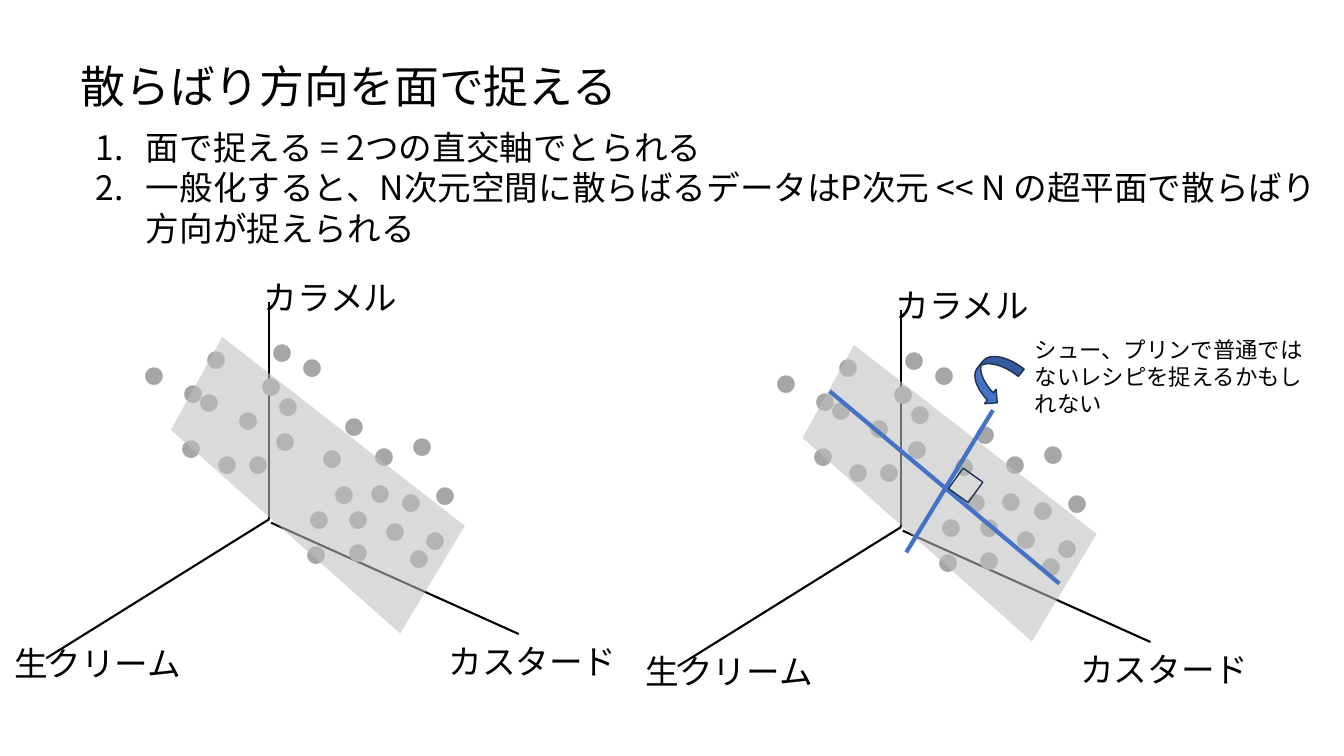
"""Build the slide on capturing the spread of data with a plane."""
from dataclasses import dataclass

from lxml.etree import SubElement
from pptx import Presentation
from pptx.dml.color import RGBColor
from pptx.enum.shapes import MSO_CONNECTOR, MSO_SHAPE
from pptx.enum.text import MSO_AUTO_SIZE
from pptx.oxml.ns import qn
from pptx.util import Pt


@dataclass(frozen=True)
class Theme:
    font: str = "Noto Sans CJK JP"
    ink: str = "000000"
    dot: str = "A6A6A6"
    plane: str = "BFBFBF"
    accent: str = "4472C4"
    outline: str = "1E3256"
    title_size: int = 32
    body_size: int = 24
    note_size: int = 16
    dot_size: int = 14


class SlideBuilder:
    """Draw styled elements on one slide, with lengths in points."""

    def __init__(self, slide, theme):
        self.slide = slide
        self.theme = theme

    def text(self, lines, box, size, color=None, wrap=True, inset=True, rotation=0, numbered=False):
        """Add a text box with one paragraph per line."""
        label = self.slide.shapes.add_textbox(*map(Pt, box))
        label.rotation = rotation
        frame = label.text_frame
        frame.word_wrap = wrap
        frame.auto_size = MSO_AUTO_SIZE.SHAPE_TO_FIT_TEXT
        if not inset:
            frame.margin_left = frame.margin_right = 0
            frame.margin_top = frame.margin_bottom = 0
        frame.text = "\n".join(lines)
        for paragraph in frame.paragraphs:
            font = paragraph.font
            font.size = Pt(size)
            font.color.rgb = RGBColor.from_string(color or self.theme.ink)
            font.name = self.theme.font
            properties = paragraph._p.get_or_add_pPr()
            defaults = properties.find(qn("a:defRPr"))
            SubElement(defaults, qn("a:ea"), typeface=self.theme.font)
            if numbered:
                properties.set("marL", str(Pt(36)))
                properties.set("indent", str(Pt(-36)))
                number = SubElement(properties, qn("a:buAutoNum"), type="arabicPeriod")
                defaults.addprevious(number)

    def line(self, start, end, color, width):
        """Add a straight line."""
        connector = self.slide.shapes.add_connector(
            MSO_CONNECTOR.STRAIGHT, *map(Pt, (*start, *end)))
        connector.line.color.rgb = RGBColor.from_string(color)
        connector.line.width = Pt(width)
        SubElement(connector._element.spPr, qn("a:effectLst"))

    def shape(self, kind, box, rotation, fill=None):
        """Add an outlined preset shape."""
        figure = self.slide.shapes.add_shape(kind, *map(Pt, box))
        figure.rotation = rotation
        figure.shadow.inherit = False
        if fill:
            figure.fill.solid()
            figure.fill.fore_color.rgb = RGBColor.from_string(fill)
        else:
            figure.fill.background()
        figure.line.color.rgb = RGBColor.from_string(self.theme.outline)
        figure.line.width = Pt(1)

    def plane(self, corners, opacity):
        """Add a translucent plane through its corners."""
        first, *others = [tuple(map(Pt, corner)) for corner in corners]
        outline = self.slide.shapes.build_freeform(*first)
        outline.add_line_segments(others, close=True)
        surface = outline.convert_to_shape()
        surface.shadow.inherit = False
        surface.fill.solid()
        surface.fill.fore_color.rgb = RGBColor.from_string(self.theme.plane)
        surface.line.fill.background()
        color = surface._element.spPr.find(qn("a:solidFill"))[0]
        SubElement(color, qn("a:alpha"), val=str(opacity * 1000))

    def scatter(self, dx, dy):
        """Add the axes, data points and plane, shifted by dx and dy."""
        theme = self.theme
        for start, end in AXES:
            self.line((start[0] + dx, start[1] + dy), (end[0] + dx, end[1] + dy), theme.ink, 1.5)
        for name, left, top, width in AXIS_NAMES:
            self.text([name], (left + dx, top + dy, width, 29), theme.body_size,
                      wrap=False, inset=False)
        for left, top, width in DATA_POINTS:
            self.text(["●"], (left + dx, top + dy, width, 24.2), theme.dot_size,
                      color=theme.dot, rotation=136.6)
        self.plane([(x + dx, y + dy) for x, y in PLANE_CORNERS], 57)


AXES = [
    ((192.4, 216), (192.4, 370.8)),
    ((192.4, 370.8), (33, 470.2)),
    ((193.7, 373.4), (370.6, 452.9)),
]
AXIS_NAMES = [
    ("生クリーム", 10, 459.4, 121),
    ("カスタード", 320.4, 457.9, 121),
    ("カラメル", 188.6, 198, 97),
]
DATA_POINTS = [
    (213.8, 360, 28.8), (266.4, 316.1, 52.6), (135.4, 276.5, 28.8), (247.7, 344.9, 39.6),
    (241.2, 383.8, 28.8), (191.5, 279.4, 28.8), (241.2, 360, 28.8), (259.9, 315.4, 28.8),
    (162.7, 289.4, 28.8), (267.8, 368.6, 28.8), (279.4, 347.8, 28.8), (122.4, 309.6, 28.8),
    (223.2, 316.8, 28.8), (187.2, 240.5, 28.8), (208.8, 251.3, 28.8), (169.9, 321.1, 28.8),
    (179.3, 265, 28.8), (147.6, 321.1, 28.8), (211.7, 385.2, 28.8), (238.3, 293.8, 28.8),
    (189.4, 304.6, 28.8), (231.8, 342, 28.8), (95.8, 257, 28.8), (123.8, 270, 28.8),
    (140.4, 245.5, 28.8), (279.4, 390.2, 35.3), (298.1, 344.9, 35.3), (290.9, 377.3, 35.3),
]
PLANE_CORNERS = [(158.8, 240.7), (332.1, 375.7), (285.9, 452.5), (122.1, 307.1)]


def main():
    """Compose and save the slide."""
    presentation = Presentation()
    presentation.slide_width, presentation.slide_height = Pt(960), Pt(540)
    theme = Theme()
    slide = presentation.slides.add_slide(presentation.slide_layouts[6])
    builder = SlideBuilder(slide, theme)

    builder.text(["散らばり方向を面で捉える"], (50.4, 38.2, 402.5, 46), theme.title_size, wrap=False)
    builder.scatter(0, 0)
    builder.text(
        ["面で捉える = 2つの直交軸でとられる",
         "一般化すると、N次元空間に散らばるデータはP次元 << N の超平面で散らばり方向が捉えられる"],
        (61.2, 87.1, 888.5, 94.3), theme.body_size, numbered=True)

    builder.scatter(451.2, 5.7)
    builder.line((592.6, 279.4), (756.7, 416.9), theme.accent, 3)
    builder.line((709.2, 293), (647.3, 394.6), theme.accent, 3)
    builder.shape(MSO_SHAPE.RECTANGLE, (681.1, 337.7, 17.3, 18), 35.6)
    builder.text(["シュー、プリンで普通ではないレシピを捉えるかもしれない"],
                 (732.2, 236.9, 208, 65.5), theme.note_size)
    builder.shape(MSO_SHAPE.CURVED_RIGHT_ARROW, (696.2, 251.3, 26.6, 37.4), 38.7, theme.accent)
    presentation.save("out.pptx")


if __name__ == "__main__":
    main()
